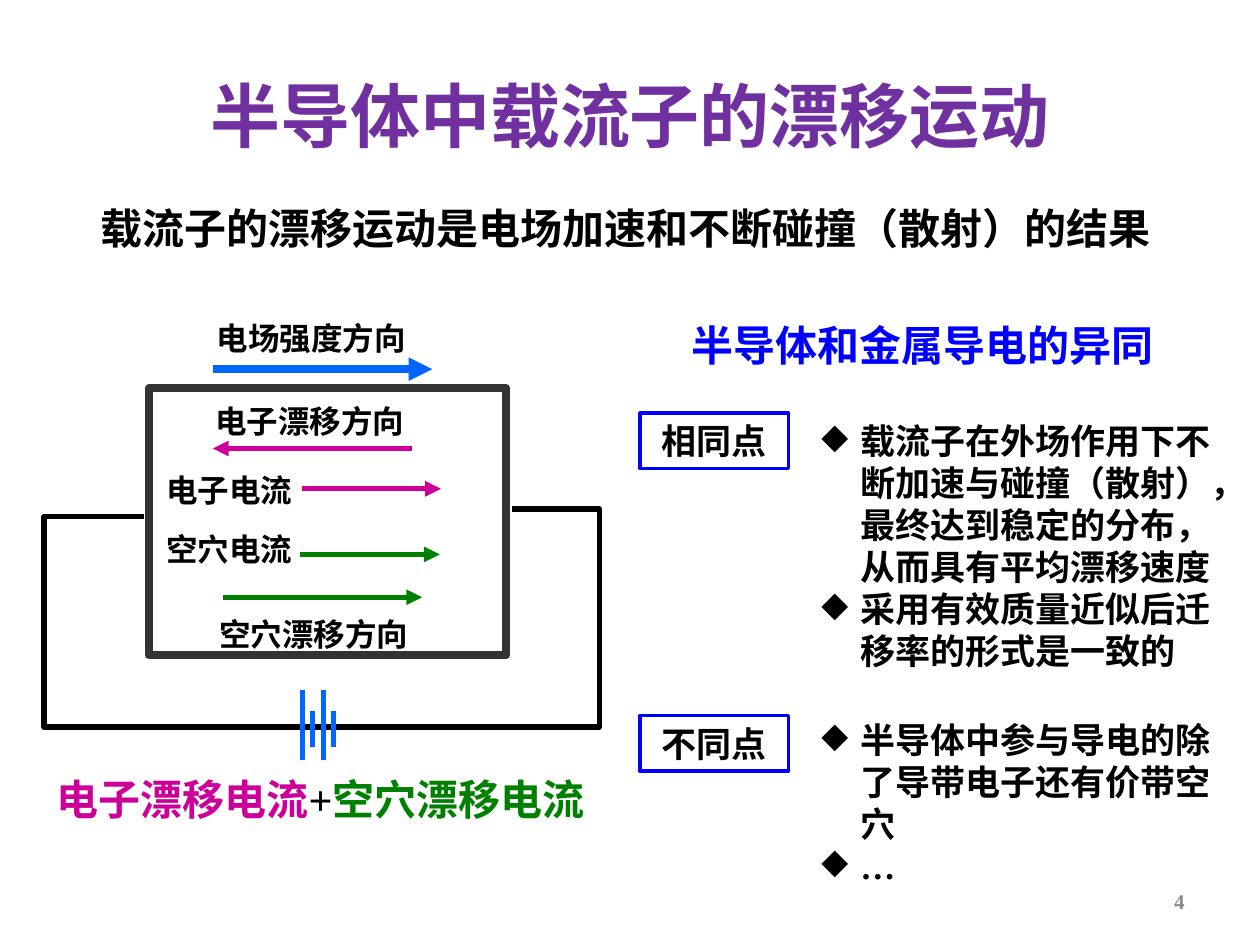
"""Build the slide on carrier drift in semiconductors."""
from dataclasses import dataclass

from lxml import etree
from pptx import Presentation, util as u
from pptx.dml.color import RGBColor
from pptx.enum import shapes as sh, text as tx
from pptx.oxml.ns import qn

COLS, ROWS = 100, 75
WIDE, HIGH = u.Inches(10), u.Inches(7.5)


@dataclass(frozen=True)
class Theme:
    """Colours, type sizes and line widths of the slide."""
    font: str = "Times New Roman"
    title: str = "7030A0"
    ink: str = "000000"
    paper: str = "FFFFFF"
    frame: str = "333333"
    blue: str = "0000FF"
    field: str = "0066FF"
    electron: str = "CC0099"
    hole: str = "008000"
    grey: str = "898989"
    huge: int = 40
    large: int = 24
    body: int = 20
    label: int = 18
    small: int = 12
    thin: int = 2
    wire: int = 3
    thick: float = 4.5


T = Theme()


def place(col, row):
    """Turn a grid column and row into slide lengths."""
    return round(WIDE * col / COLS), round(HIGH * row / ROWS)


def style(para, size, color, align=None):
    """Set the font and alignment of a paragraph."""
    font = para.font
    font.name, font.size, font.bold = T.font, u.Pt(size), True
    font.color.rgb = RGBColor.from_string(color)
    if align:
        para.alignment = align


def stroke(line, color, width):
    """Set the colour and width of a line."""
    line.color.rgb = RGBColor.from_string(color)
    line.width = u.Pt(width)


def write(slide, box, words, size, color=T.ink, align=None, wrap=True, mid=False):
    """Add a text box with one paragraph and return that paragraph."""
    frame = slide.shapes.add_textbox(*place(*box[:2]), *place(*box[2:])).text_frame
    frame.word_wrap = wrap
    if mid:
        frame.vertical_anchor = tx.MSO_ANCHOR.MIDDLE
    para = frame.paragraphs[0]
    para.text = words
    style(para, size, color, align)
    return para


def panel(slide, box, color=None, width=None, words="", size=T.body, fill=None):
    """Add a rectangle with an optional outline, fill and centred text."""
    rect = slide.shapes.add_shape(
        sh.MSO_SHAPE.RECTANGLE, *place(*box[:2]), *place(*box[2:]))
    rect.shadow.inherit = False
    if fill:
        rect.fill.solid()
        rect.fill.fore_color.rgb = RGBColor.from_string(fill)
    else:
        rect.fill.background()
    if color:
        stroke(rect.line, color, width)
    else:
        rect.line.fill.background()
    if words:
        rect.text_frame.word_wrap = True
        para = rect.text_frame.paragraphs[0]
        para.text = words
        style(para, size, T.ink, tx.PP_ALIGN.CENTER)


def link(slide, start, end, color, width=T.wire, head=True):
    """Add a straight line, with an arrowhead at its end if wanted."""
    line = slide.shapes.add_connector(
        sh.MSO_CONNECTOR.STRAIGHT, *place(*start), *place(*end))
    stroke(line.line, color, width)
    if head:
        etree.SubElement(line.line._get_or_add_ln(), qn("a:tailEnd"), type="triangle")
    etree.SubElement(line._element.spPr, qn("a:effectLst"))


def wire(slide, points):
    """Add an open outline through the grid points."""
    first, *rest = [place(*point) for point in points]
    build = slide.shapes.build_freeform(*first)
    build.add_line_segments(rest, close=False)
    path = build.convert_to_shape()
    path.shadow.inherit = False
    path.fill.background()
    stroke(path.line, T.ink, T.wire)


def bullets(slide, box, items):
    """Add a list with diamond bullets and a hanging indent."""
    first = write(slide, box, items[0], T.body)
    frame = first._parent
    for item in items[1:]:
        para = frame.add_paragraph()
        para.text = item
        style(para, T.body, T.ink)
    hang = u.Inches(0.31)
    for para in frame.paragraphs:
        props = para._p.get_or_add_pPr()
        props.set("marL", str(hang))
        props.set("indent", str(-hang))
        mark = etree.Element(qn("a:buChar"), char="◆")
        props.insert(0, mark)


def circuit(slide):
    """Draw the sample, its currents, the wire and the battery."""
    panel(slide, (11.8, 30.8, 28.4, 21.2), T.frame, T.thick)
    wire(slide, [(40.6, 40.4), (47.6, 40.4), (47.6, 57.7),
                 (3.5, 57.7), (3.5, 41), (11.4, 41)])
    flows = [
        ("电场强度方向", 16.2, 24.8, 16.9, 34.3, 29.3, T.field, T.thick),
        ("电子漂移方向", 16.1, 31.4, 32.7, 16.9, 35.6, T.electron, T.wire),
        ("电子电流", 12.2, 36.9, 24, 35, 38.8, T.electron, T.wire),
        ("空穴电流", 12.2, 41.6, 23.8, 34.9, 44, T.hole, T.wire),
        ("空穴漂移方向", 16.4, 48.3, 17.7, 33.5, 47.4, T.hole, T.wire),
    ]
    for words, left, top, start, end, row, color, width in flows:
        span = 2 + 2.7 * len(words)
        write(slide, (left, top, span, 4), words, T.label, wrap=False)
        link(slide, (start, row), (end, row), color, width)
    for i in range(4):
        col = 24 + 0.83 * i
        top, foot = ((54.8, 60.3), (56.4, 59.3))[i % 2]
        link(slide, (col, top), (col, foot), T.field, head=False)


def total(slide):
    """Write the sum of the two drift currents."""
    para = write(slide, (3.5, 60.9, 44.1, 5), "", T.large)
    for words, color in (("电子漂移电流", T.electron), ("+", T.ink),
                         ("空穴漂移电流", T.hole)):
        run = para.add_run()
        run.text = words
        run.font.color.rgb = RGBColor.from_string(color)


def compare(slide):
    """Set out what semiconductors and metals share and where they differ."""
    write(slide, (53.9, 24.9, 39, 5), "半导体和金属导电的异同",
          T.large, T.blue, wrap=False)
    parts = [
        ("相同点", 32.8, 32.8, 21.2,
         ["载流子在外场作用下不断加速与碰撞（散射），最终达到稳定的分布，从而具有平均漂移速度",
          "采用有效质量近似后迁移率的形式是一致的"]),
        ("不同点", 56.8, 56.5, 14.5,
         ["半导体中参与导电的除了导带电子还有价带空穴", "…"]),
    ]
    for name, row, top, tall, items in parts:
        panel(slide, (50.8, row, 11.8, 4.4), T.blue, T.thin, name)
        bullets(slide, (64.2, top, 33.9, tall), items)


def main():
    """Build and save the slide."""
    deck = Presentation()
    deck.slide_width, deck.slide_height = WIDE, HIGH
    slide = deck.slides.add_slide(deck.slide_layouts[6])
    write(slide, (5, 2.8, 90, 12.5), "半导体中载流子的漂移运动",
          T.huge, T.title, tx.PP_ALIGN.CENTER, mid=True)
    panel(slide, (0, 15.5, 100, 5.1), words="载流子的漂移运动是电场加速和不断碰撞（散射）的结果 ",
          size=T.large, fill=T.paper)
    circuit(slide)
    total(slide)
    compare(slide)
    write(slide, (71.7, 69.5, 23.3, 4), "4", T.small, T.grey,
          tx.PP_ALIGN.RIGHT, mid=True)
    deck.save("out.pptx")


if __name__ == "__main__":
    main()
